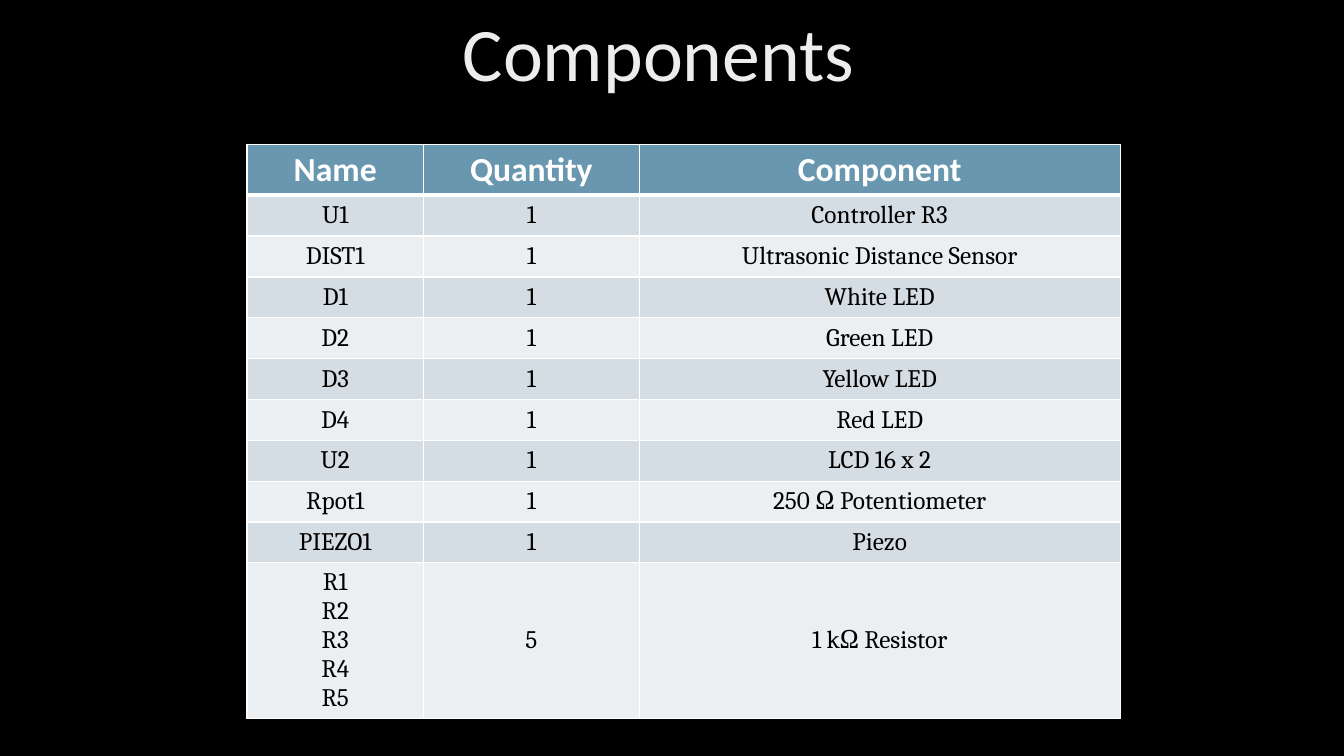
from lxml.etree import SubElement
from pptx import Presentation
from pptx.dml.color import RGBColor
from pptx.enum.text import MSO_ANCHOR as Anchor, PP_ALIGN as Align
from pptx.oxml.ns import qn
from pptx.util import Inches, Pt

COLORS = {
    "background": "000000",
    "header": "6997AF",
    "odd": "D4DDE3",
    "even": "EBEFF2",
    "border": "FFFFFF",
    "header_text": "FFFFFF",
    "body_text": "000000",
}
TITLE_STOPS = [(0, "BFBFBF"), (28, "EDEDED"), (100, "FFFFFF")]
TITLE_ANGLE = 80
WIDTH, HEIGHT = Inches(13.33), Inches(7.5)
ROW = HEIGHT / 18.5
HEADER_ROWS, RESISTOR_ROWS = 1.25, 3.8
COLUMNS = [Inches(1.75), Inches(2.14), Inches(4.77)]
COMPONENTS = [
    ("Name", "Quantity", "Component"),
    ("U1", "1", "Controller R3"),
    ("DIST1", "1", "Ultrasonic Distance Sensor"),
    ("D1", "1", "White LED"),
    ("D2", "1", "Green LED"),
    ("D3", "1", "Yellow LED"),
    ("D4", "1", "Red LED"),
    ("U2", "1", "LCD 16 x 2"),
    ("Rpot1", "1", "250 Ω Potentiometer"),
    ("PIEZO1", "1", "Piezo"),
    ("R1\nR2\nR3\nR4\nR5", "5", "1 kΩ Resistor"),
]


def rgb(name):
    return RGBColor.from_string(COLORS[name])


def write_text(frame, text, *, font, size, color=None, bold=False, spacing=None):
    frame.text = text
    frame.vertical_anchor = Anchor.MIDDLE
    for paragraph in frame.paragraphs:
        paragraph.alignment = Align.CENTER
        paragraph.line_spacing = spacing
        for run in paragraph.runs:
            run.font.name = font
            run.font.size = Pt(size)
            run.font.bold = bold
            if color:
                run.font.color.rgb = rgb(color)


def shade_title(font):
    font.fill.gradient()
    font.fill.gradient_angle = 360 - TITLE_ANGLE
    stops = font._element.find(qn("a:gradFill")).find(qn("a:gsLst"))
    for stop in list(stops):
        stops.remove(stop)
    for share, color in TITLE_STOPS:
        stop = SubElement(stops, qn("a:gs"), pos=str(share * 1000))
        SubElement(stop, qn("a:srgbClr"), val=color)


def add_title(slide, text):
    title = slide.shapes.title
    title.left, title.top = int(WIDTH * 0.31), 0
    title.width, title.height = int(WIDTH * 0.36), int(HEIGHT * 0.15)
    write_text(title.text_frame, text, font="Calibri", size=54, spacing=0.9)
    shade_title(title.text_frame.paragraphs[0].runs[0].font)


def set_borders(cell, top=1, bottom=1):
    properties = cell._tc.get_or_add_tcPr()
    widths = {"lnL": 1, "lnR": 1, "lnT": top, "lnB": bottom}
    for position, (side, width) in enumerate(widths.items()):
        line = SubElement(properties, qn(f"a:{side}"), w=str(Pt(width)))
        fill = SubElement(line, qn("a:solidFill"))
        SubElement(fill, qn("a:srgbClr"), val=COLORS["border"])
        properties.insert(position, line)


def fill_cell(cell, text, row):
    cell.fill.solid()
    cell.vertical_anchor = Anchor.MIDDLE
    if row == 0:
        cell.fill.fore_color.rgb = rgb("header")
        write_text(cell.text_frame, text, font="Calibri", size=24,
                   color="header_text", bold=True)
    else:
        cell.fill.fore_color.rgb = rgb("odd" if row % 2 else "even")
        write_text(cell.text_frame, text, font="Cambria", size=18, color="body_text")
    cell.vertical_anchor = Anchor.MIDDLE
    set_borders(cell, top=3 if row == 1 else 1, bottom=3 if row == 0 else 1)


def add_components(slide):
    row_shares = [HEADER_ROWS] + [1] * (len(COMPONENTS) - 2) + [RESISTOR_ROWS]
    components = slide.shapes.add_table(
        len(COMPONENTS), len(COLUMNS), Inches(2.45), Inches(1.43),
        sum(COLUMNS), int(ROW * sum(row_shares))).table
    for column, width in zip(components.columns, COLUMNS):
        column.width = width
    for row, (share, entries) in enumerate(zip(row_shares, COMPONENTS)):
        components.rows[row].height = int(ROW * share)
        for column, text in enumerate(entries):
            fill_cell(components.cell(row, column), text, row)


def main():
    deck = Presentation()
    deck.slide_width, deck.slide_height = WIDTH, HEIGHT
    slide = deck.slides.add_slide(deck.slide_layouts[5])
    slide.background.fill.solid()
    slide.background.fill.fore_color.rgb = rgb("background")
    add_title(slide, "Components")
    add_components(slide)
    deck.save("out.pptx")


if __name__ == "__main__":
    main()
